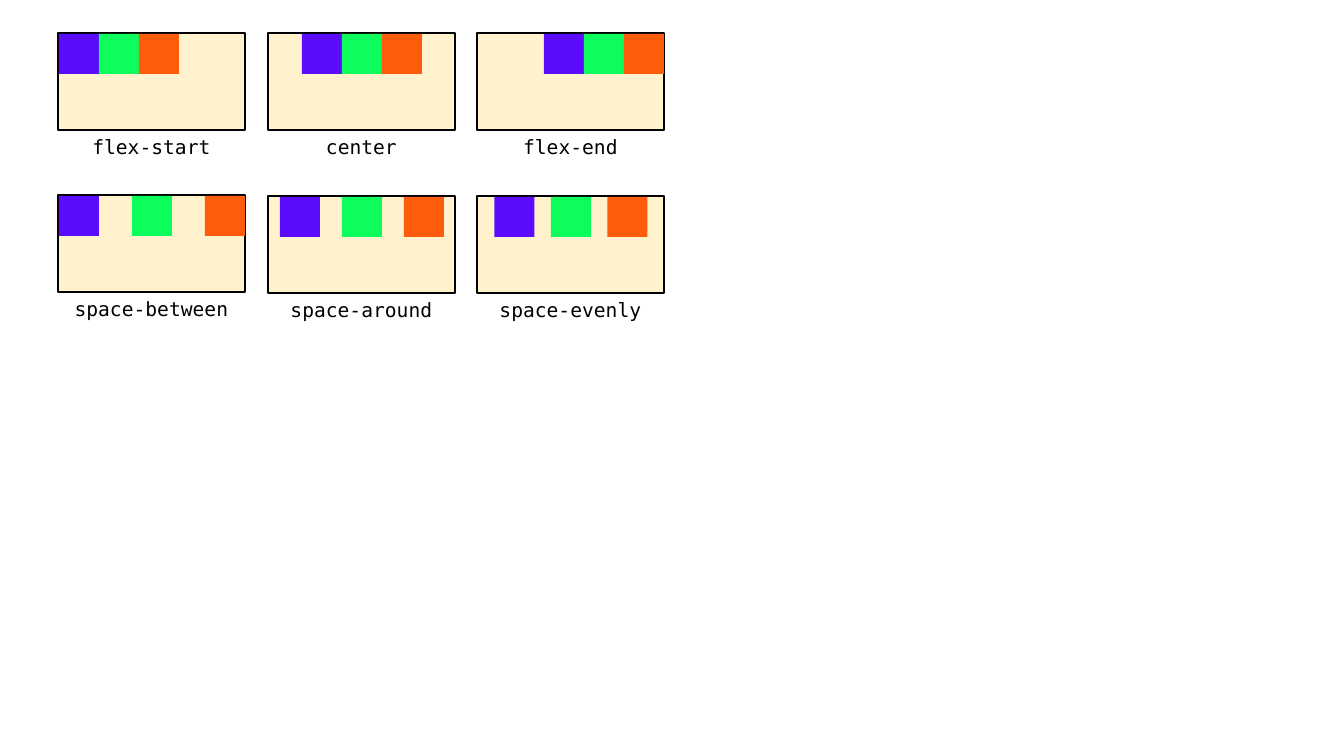
from pptx import Presentation
from pptx.dml.color import RGBColor
from pptx.enum.shapes import MSO_SHAPE as Shape
from pptx.enum.text import MSO_AUTO_SIZE as AutoSize, PP_ALIGN as Align
from pptx.util import Pt

# Content: label, box left and top in px, share of the free space
# before the first item, share of the free space between items
EXAMPLES = [
    ("flex-start", 58, 33, 0, 0),
    ("center", 268, 33, 1 / 2, 0),
    ("flex-end", 477, 33, 1, 0),
    ("space-between", 58, 195, 0, 1 / 2),
    ("space-around", 268, 196, 1 / 6, 1 / 3),
    ("space-evenly", 477, 196, 1 / 4, 1 / 4),
]
ITEMS = ["violet", "green", "orange"]
COLORS = {
    "box": "FFF2CC",
    "ink": "000000",
    "violet": "5C0CFD",
    "green": "0CFD5C",
    "orange": "FD5C0C",
}
FONT = "DejaVu Sans Mono"

# Lengths in px
SCALE = 914400 / 100.8
SLIDE_WIDTH, SLIDE_HEIGHT = 1344, 756
BOX_WIDTH, BOX_HEIGHT = 187, 97
LABEL_HEIGHT = 34
ITEM_SIZE = 40
BORDER = 1
FREE_SPACE = BOX_WIDTH - BORDER - len(ITEMS) * ITEM_SIZE


def px(length):
    return round(length * SCALE)


def add_rectangle(slide, left, top, width, height, color):
    shape = slide.shapes.add_shape(
        Shape.RECTANGLE, px(left), px(top), px(width), px(height))
    shape.shadow.inherit = False
    shape.fill.solid()
    shape.fill.fore_color.rgb = RGBColor.from_string(COLORS[color])
    shape.line.fill.background()
    return shape


def add_label(slide, text, left, top):
    label = slide.shapes.add_textbox(
        px(left), px(top), px(BOX_WIDTH), px(LABEL_HEIGHT))
    frame = label.text_frame
    frame.word_wrap = True
    frame.auto_size = AutoSize.SHAPE_TO_FIT_TEXT
    paragraph = frame.paragraphs[0]
    paragraph.text = text
    paragraph.alignment = Align.CENTER
    paragraph.font.name = FONT
    paragraph.font.size = Pt(14)
    paragraph.font.color.rgb = RGBColor.from_string(COLORS["ink"])


def add_example(slide, text, left, top, lead, gap):
    # Container
    box = add_rectangle(slide, left, top, BOX_WIDTH, BOX_HEIGHT, "box")
    box.line.color.rgb = RGBColor.from_string(COLORS["ink"])
    box.line.width = Pt(1.5)

    # Items, placed by sharing out the free space
    first = left + BORDER + lead * FREE_SPACE
    pitch = ITEM_SIZE + gap * FREE_SPACE
    for index, color in enumerate(ITEMS):
        add_rectangle(slide, first + index * pitch, top + BORDER,
                      ITEM_SIZE, ITEM_SIZE, color)

    add_label(slide, text, left, top + BOX_HEIGHT)


def main():
    presentation = Presentation()
    presentation.slide_width = px(SLIDE_WIDTH)
    presentation.slide_height = px(SLIDE_HEIGHT)
    slide = presentation.slides.add_slide(presentation.slide_layouts[6])
    for example in EXAMPLES:
        add_example(slide, *example)
    presentation.save("out.pptx")


if __name__ == "__main__":
    main()
